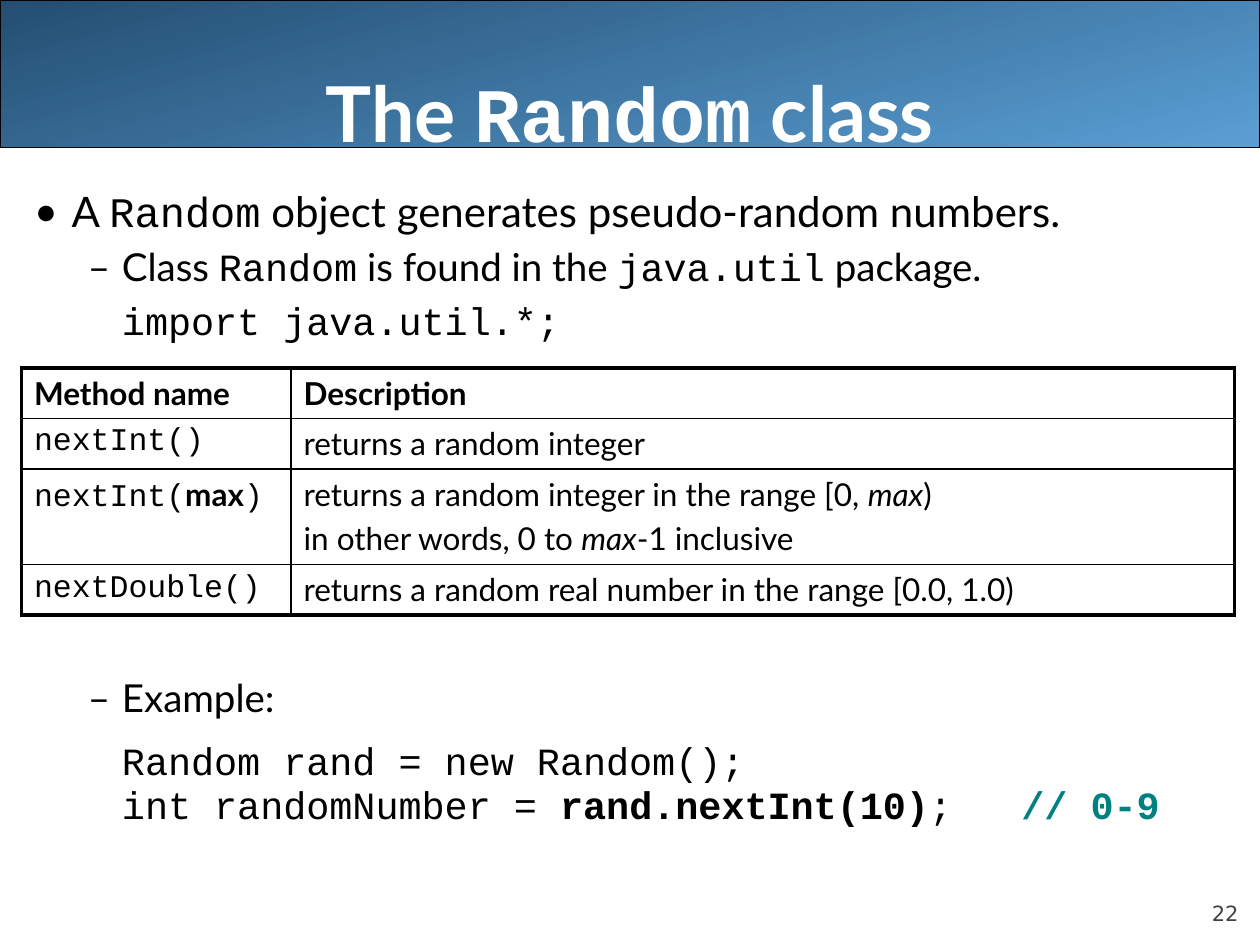
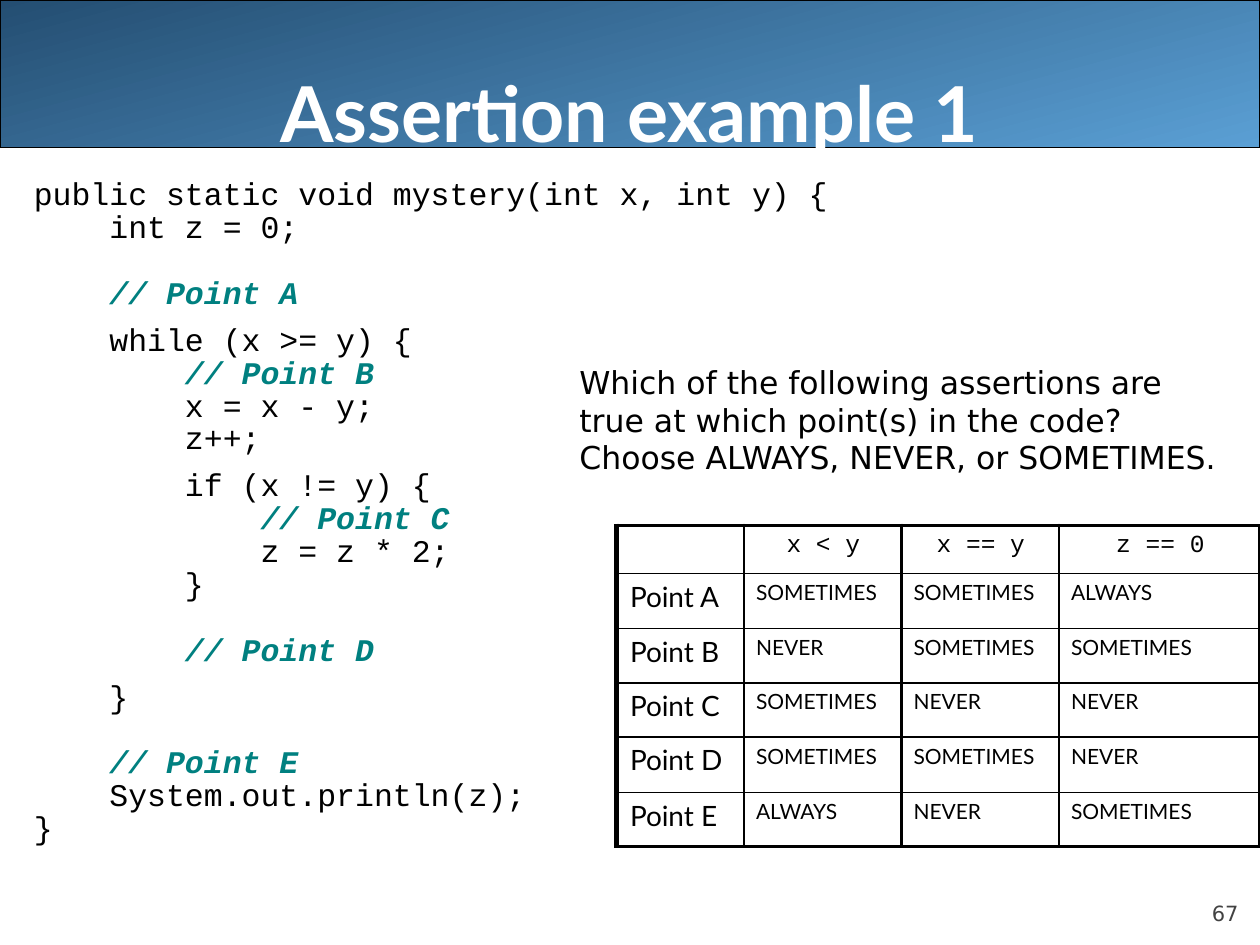
import pptx
import pptx.dml.color
import pptx.enum.shapes
import pptx.enum.text
import pptx.oxml
import pptx.oxml.ns
import pptx.util
from lxml import etree

Inches, Pt = pptx.util.Inches, pptx.util.Pt
ALIGN = pptx.enum.text.PP_ALIGN
ANCHOR = pptx.enum.text.MSO_ANCHOR

COLORS = {
    "text": "000000",
    "title": "FFFFFF",
    "band_dark": "244E72",
    "band_light": "5A9FD4",
    "comment": "008080",
    "number": "424242",
}
SANS, MONO, PLAIN = "Lato", "Courier New", "DejaVu Sans"

# Run styles: what differs from the base format of the text
CODE = {"name": MONO}
CODE_BOLD = {"name": MONO, "bold": True}
BOLD = {"bold": True}
ITALIC = {"italic": True}
CODE_NOTE = {"name": MONO, "bold": True, "color": "comment"}
POINT_NOTE = {"bold": True, "italic": True, "color": "comment"}

# Paragraph levels: left indent, hanging indent, bullet
LEVELS = {
    "plain": (0, 0, None),
    "first": (0.3, -0.3, "•"),
    "second": (0.7, -0.27, "–"),
    "code": (0.7, 0, None),
}


def rgb(name):
    return pptx.dml.color.RGBColor.from_string(COLORS[name])


def add_run(p, text, size, name=SANS, color="text", **fmt):
    r = p.add_run()
    r.text = text
    for key, value in {"size": Pt(size), "name": name, **fmt}.items():
        setattr(r.font, key, value)
    r.font.color.rgb = rgb(color)


def set_level(p, level):
    left, hanging, bullet = LEVELS[level]
    pPr = p._p.get_or_add_pPr()
    pPr.set("marL", str(Inches(left)))
    pPr.set("indent", str(Inches(hanging)))
    if bullet:
        clr = etree.SubElement(pPr, pptx.oxml.ns.qn("a:buClr"))
        etree.SubElement(clr, pptx.oxml.ns.qn("a:srgbClr"), val=COLORS["text"])
        etree.SubElement(pPr, pptx.oxml.ns.qn("a:buFont"), typeface=SANS)
        etree.SubElement(pPr, pptx.oxml.ns.qn("a:buChar"), char=bullet)
    else:
        etree.SubElement(pPr, pptx.oxml.ns.qn("a:buNone"))


def write(tf, paragraphs, **base):
    """Each paragraph is (runs, format); a run is a string or (string, style)."""
    for i, (runs, fmt) in enumerate(paragraphs):
        p = tf.paragraphs[0] if i == 0 else tf.add_paragraph()
        fmt = dict(fmt)
        set_level(p, fmt.pop("level", "plain"))
        size = fmt.pop("size", None)
        for key, value in fmt.items():
            setattr(p, key, value)
        for run in runs:
            text, style = (run, {}) if isinstance(run, str) else run
            if text == "\n":
                p.add_line_break()
                continue
            look = {**base, **style}
            if size:
                look["size"] = size
            add_run(p, text, **look)


def add_text(slide, box, paragraphs, insets=(0.1, 0.05, 0.1, 0.05),
             anchor=ANCHOR.TOP, **base):
    sp = slide.shapes.add_textbox(*map(Inches, box))
    tf = sp.text_frame
    sides = ("margin_left", "margin_top", "margin_right", "margin_bottom")
    frame = {"word_wrap": True, "vertical_anchor": anchor,
             **dict(zip(sides, map(Inches, insets)))}
    for key, value in frame.items():
        setattr(tf, key, value)
    write(tf, paragraphs, **base)


def add_band(slide):
    sp = slide.shapes.add_shape(pptx.enum.shapes.MSO_SHAPE.RECTANGLE,
                                0, 0, Inches(10), Inches(1.17))
    sp.shadow.inherit = False
    sp.fill.gradient()
    sp.fill.gradient_angle = 285
    for stop, position, name in zip(sp.fill.gradient_stops, (0, 1),
                                    ("band_dark", "band_light")):
        stop.position = position
        stop.color.rgb = rgb(name)
    sp.line.color.rgb = rgb("text")
    sp.line.width = Pt(0.75)


def add_base_slide(prs, title, number):
    """Blank slide with the shared band, page number and title."""
    slide = prs.slides.add_slide(prs.slide_layouts[6])
    add_band(slide)
    add_text(slide, (9, 6.95, 0.83, 0.4),
             [([number], {"alignment": ALIGN.RIGHT})], (0, 0, 0, 0),
             ANCHOR.BOTTOM, size=12, name=PLAIN, color="number")
    add_text(slide, (0.5, 0, 9, 1.25),
             [(title, {"alignment": ALIGN.CENTER})], (0, 0.05, 0, 0),
             ANCHOR.BOTTOM, size=44, color="title", bold=True)
    return slide


def set_borders(cell, outer):
    """Thick lines on the outer sides, thin lines elsewhere."""
    tcPr = cell._tc.get_or_add_tcPr()
    for i, side in enumerate("LRTB"):
        width = Pt(2.25 if side in outer else 1)
        tcPr.insert(i, pptx.oxml.parse_xml(
            f'<a:ln{side} {pptx.oxml.ns.nsdecls("a")} w="{width}"><a:solidFill>'
            f'<a:srgbClr val="{COLORS["text"]}"/></a:solidFill></a:ln{side}>'))


def add_grid(slide, left, top, widths, heights, rows, size):
    """Table whose cells are lists of paragraphs."""
    shape = slide.shapes.add_table(
        len(rows), len(widths), Inches(left), Inches(top),
        Inches(sum(widths)), Inches(sum(heights)))
    table = shape.table
    table.first_row = table.horz_banding = False
    for column, width in zip(table.columns, widths):
        column.width = Inches(width)
    for y, (row, height) in enumerate(zip(rows, heights)):
        table.rows[y].height = Inches(height)
        for x, paragraphs in enumerate(row):
            cell = table.cell(y, x)
            cell.fill.background()
            edges = {"L": x == 0, "R": x == len(widths) - 1,
                     "T": y == 0, "B": y == len(rows) - 1}
            set_borders(cell, [side for side, on in edges.items() if on])
            if paragraphs:
                write(cell.text_frame, paragraphs, size=size)
            else:
                cell.margin_top = cell.margin_bottom = 0


def line(*runs, **fmt):
    return list(runs), fmt


def random_slide(prs):
    slide = add_base_slide(prs, ["The ", ("Random", CODE), " class"], "22")
    gap = {"space_before": Pt(4.4)}
    tight = {"level": "code", "line_spacing": Pt(20.7)}
    add_text(slide, (0.17, 1.42, 9.83, 5.67), [
        line("A ", ("Random", CODE), " object generates pseudo-random numbers.",
             level="first", size=24),
        line("Class ", ("Random", CODE), " is found in the ",
             ("java.util", CODE), " package.", level="second", **gap),
        line(("import java.util.*;", CODE), level="code", **gap),
        # The table stands in this space
        line("Example:", level="second", space_before=Pt(189.2)),
        line(("Random rand = new Random();", CODE),
             space_before=Pt(15.3), **tight),
        line(("int randomNumber = ", CODE), ("rand.nextInt(10)", CODE_BOLD),
             (";   ", CODE), ("// 0-9", CODE_NOTE), **tight, **gap),
    ], size=22)

    # Methods of the class
    methods = [
        [[line(("Method name", BOLD))], [line(("Description", BOLD))]],
        [[line(("nextInt()", CODE))], [line("returns a random integer")]],
        [[line(("nextInt(", CODE), ("max", BOLD), (")", CODE))],
         [line("returns a random integer in the range [0, ",
               ("max", ITALIC), ")"),
          line("in other words, 0 to ", ("max", ITALIC), "-1 inclusive",
               space_before=Pt(3.6))]],
        [[line(("nextDouble()", CODE))],
         [line("returns a random real number in the range [0.0, 1.0)")]],
    ]
    add_grid(slide, 0.17, 2.92, (2.14, 7.49), (0.4, 0.4, 0.76, 0.4),
             methods, 18)


# Code blocks, each with the space before it
MYSTERY = [
    (0, "public static void mystery(int x, int y) {\n    int z = 0;"),
    (22.4, "    // Point A"),
    (11.8, "    while (x >= y) {\n        // Point B\n"
           "        x = x - y;\n        z++;"),
    (11.6, "        if (x != y) {\n            // Point C\n"
           "            z = z * 2;\n        }"),
    (22.4, "        // Point D"),
    (11.6, "    }"),
    (22.4, "    // Point E\n    System.out.println(z);\n}"),
]
TESTS = ("x < y", "x == y", "z == 0")
ANSWERS = {
    "Point A": "SOMETIMES SOMETIMES ALWAYS",
    "Point B": "NEVER SOMETIMES SOMETIMES",
    "Point C": "SOMETIMES NEVER NEVER",
    "Point D": "SOMETIMES SOMETIMES NEVER",
    "Point E": "ALWAYS NEVER SOMETIMES",
}


def code_lines(blocks):
    for before, block in blocks:
        for i, text in enumerate(block.split("\n")):
            style = POINT_NOTE if text.strip().startswith("//") else {}
            yield line((text, style), line_spacing=Pt(15.2),
                       space_before=Pt(3.6 if i else before))


def assertion_slide(prs):
    slide = add_base_slide(prs, ["Assertion example 1"], "67")
    add_text(slide, (0.17, 1.42, 9.83, 5.67), code_lines(MYSTERY),
             size=18, name=MONO)

    # Question grid, with the answer grid laid over it
    blanks = [None] * len(TESTS)
    questions = [[None] + [[line((test, CODE), size=14, alignment=ALIGN.CENTER)]
                           for test in TESTS]]
    answers = [[None] + blanks]
    for point, words in ANSWERS.items():
        questions.append([[line(point)]] + blanks)
        answers.append([None] + [[line(word)] for word in words.split()])
    for left, rows, size in ((4.9, questions, 16), (4.89, answers, 12)):
        add_grid(slide, left, 4.17, (1.01, 1.25, 1.25, 1.6),
                 (0.38, 0.44, 0.43, 0.43, 0.44, 0.43), rows, size)

    # Question
    add_text(slide, (4.5, 2.83, 5.58, 1), [
        line("Which of the following assertions are", "\n",
             "true at which point(s) in the code?"),
        line("Choose ALWAYS, NEVER, or SOMETIMES."),
    ], size=18, name=PLAIN)


def main():
    prs = pptx.Presentation()
    prs.slide_width, prs.slide_height = Inches(10), Inches(7.5)
    random_slide(prs)
    assertion_slide(prs)
    prs.save("out.pptx")


if __name__ == "__main__":
    main()
